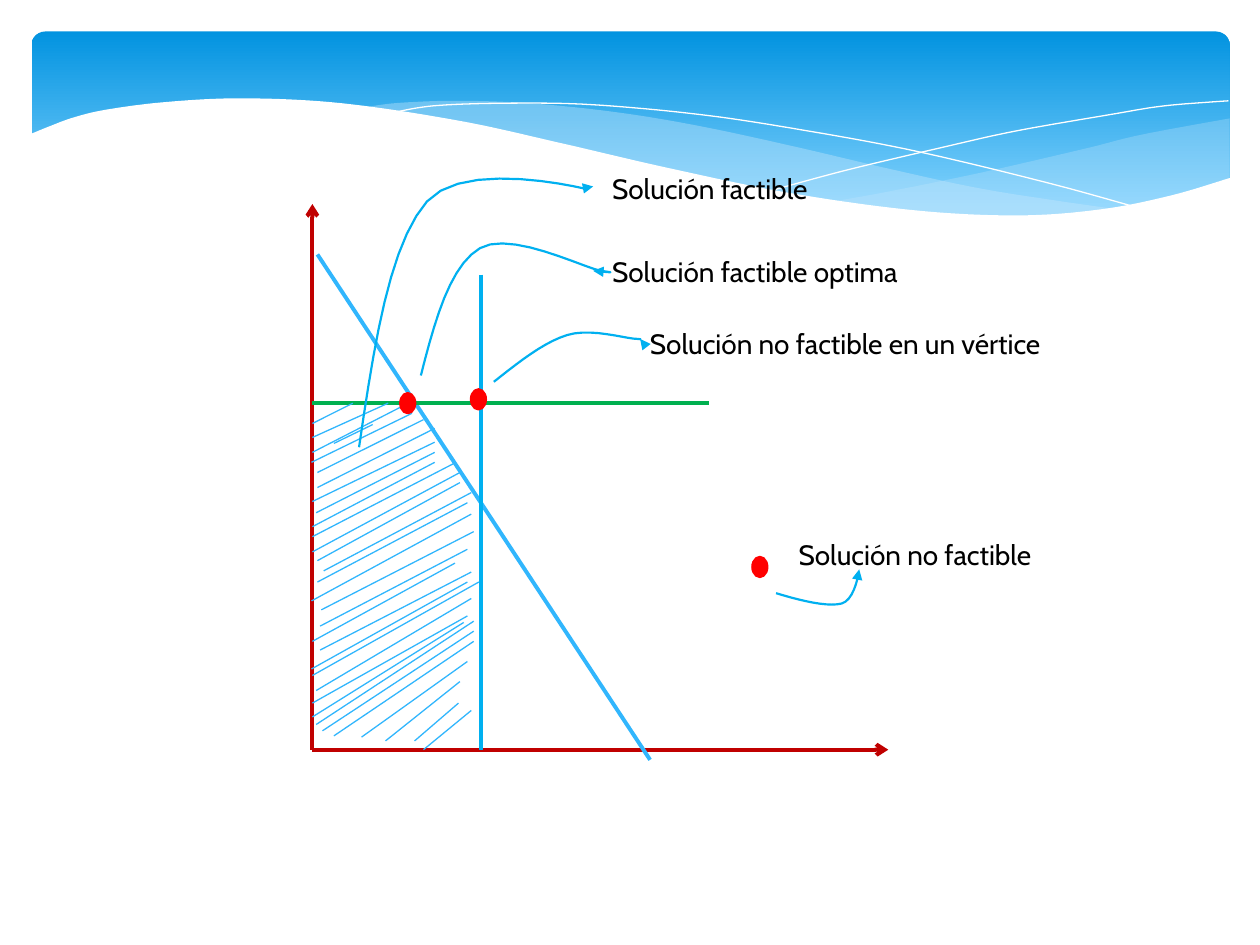
import pptx
import pptx.dml.color
import pptx.enum.shapes
import pptx.enum.text
import pptx.oxml
import pptx.oxml.ns
import pptx.util

Pt = pptx.util.Pt
RGBColor = pptx.dml.color.RGBColor
MSO_SHAPE = pptx.enum.shapes.MSO_SHAPE
qn = pptx.oxml.ns.qn

SKY_TOP = RGBColor(0x02, 0x93, 0xE0)
SKY_BOTTOM = RGBColor(0x83, 0xD3, 0xFE)
WAVE = RGBColor(0xC6, 0xE7, 0xFC)
WHITE = RGBColor(0xFF, 0xFF, 0xFF)
BLACK = RGBColor(0, 0, 0)
AXIS = RGBColor(0xC0, 0, 0)
HATCH = RGBColor(0x31, 0xB6, 0xFD)
BLUE = RGBColor(0, 0xB0, 0xF0)
GREEN = RGBColor(0, 0xB0, 0x50)
RED = RGBColor(0xFF, 0, 0)

FONT = "Cabin"
STEPS = 10
ORIGIN = (178.5, 428.4)

RIGHT_WAVE_TOP = [(702.7, 67.7), (652.3, 77), (620, 85), (561, 98.6), (508.3, 109.4), (476, 115.2)]
RIGHT_WAVE_BOTTOM = [(476, 115.2), (517.7, 120.2), (553.7, 123.1), (593.3, 123.8),
                     (627.8, 121.7), (663, 115.2), (702.7, 101.5)]
MIDDLE_WAVE_TOP = [(643, 120.2), (602.6, 114.5), (558, 107.3), (508.3, 96.5), (452.9, 83.5),
                   (399.6, 72), (352, 64.1), (302.4, 59), (260, 57.6), (225.4, 59), (206, 61.9)]
MIDDLE_WAVE_BOTTOM = [(206, 61.9), (246.2, 67.7), (290.9, 76.3), (323.3, 83.5), (381.6, 97.2),
                      (432.7, 108), (478.8, 115.9), (519.8, 121), (565.2, 123.8),
                      (603.4, 123.8), (643, 120.2)]
WHITE_CURVES = [
    [(222.5, 64.8), (247.7, 60.5), (288.7, 59), (337.7, 59.8), (400.3, 65.5),
     (457.9, 74.2), (523.4, 86.4), (598.3, 104.4), (653, 119.5)],
    [(441.4, 108.7), (483.8, 97.2), (538.6, 84.2), (580.3, 74.9),
     (634.3, 65.5), (665.3, 60.5), (702, 57.6)],
]
FRONT_WAVE = [(703.4, 101.5), (669.6, 111.6), (630, 119.5), (582.5, 123.1), (522.7, 120.2),
              (450.7, 110.2), (380.9, 95.8), (321.8, 82.1), (262.8, 69.1), (195.1, 59),
              (139, 56.2), (95, 58.3), (61.2, 62.6), (42.5, 67), (28.8, 72), (16.6, 77)]
FRONT_CORNERS = [(16.6, 161.3), (703.4, 161.3)]

# Each hatch stroke: left x, left y, right x, right y
HATCHES = [
    (178.5, 242, 201.6, 230.4), (178.5, 250, 221.8, 230.4), (178.5, 258.5, 233.3, 230.4),
    (178, 264.2, 235.4, 236.2), (181.4, 270, 242, 239.8), (181.4, 278.6, 248.4, 244.8),
    (178.5, 286.6, 248.4, 252.7), (180.7, 293, 248.4, 258.5), (178.5, 301, 248.4, 264.2),
    (178.5, 306.7, 260.6, 264.2), (178.5, 315.4, 262.8, 270), (181.4, 320.4, 262.8, 275.8),
    (185, 326.2, 269.3, 281.5), (181.4, 332.6, 267.1, 287.3), (178, 343.4, 269.3, 293.8),
    (183.6, 348.5, 270.7, 303.8), (182.9, 357.8, 267.1, 313.9), (178.5, 366.5, 260, 321.8),
    (182.9, 371.5, 269.3, 326.9), (178, 382.3, 267.1, 332.6), (178.5, 386, 273.6, 332.6),
    (180.7, 394.6, 269.3, 342), (178.5, 401.8, 267.1, 352), (178.5, 409.7, 265, 355.7),
    (180.7, 414, 270.7, 355), (184.3, 417.6, 270.7, 360.7), (190.8, 420.5, 270.7, 366.5),
    (206.6, 421.2, 267.1, 378), (220.3, 423.4, 262.8, 389.5), (236.9, 423.4, 262, 401.8),
    (242, 428.4, 269.3, 406), (190.8, 253.4, 213, 242.6),
]
LABELS = [
    ("Solución factible", 342.7, 94.3, 136),
    ("Solución factible optima", 342.7, 141.8, 191.5),
    ("Solución no factible en un vértice", 364.3, 182.9, 259),
    ("Solución no factible", 449.3, 303.8, 158.4),
]
DOTS = [(233, 230.4), (273.4, 228.2), (434.2, 324)]
# Start point, then three control points for each cubic segment
POINTERS = [
    [(205.2, 255.6), (213.8, 197.3), (222.5, 139.7), (244, 115.2),
     (265.7, 90.7), (334.8, 108), (334.8, 108), (334.8, 108), (339, 106.6), (339, 106.6)],
    [(240.5, 214.6), (248.4, 183.6), (257, 151.9), (274.3, 141.8),
     (291.6, 131.8), (332.6, 152.6), (343.4, 154.8), (354.2, 156.2), (347, 155.5), (339, 154.8)],
    [(282.2, 218.2), (295.9, 207.4), (310.3, 195.8), (324, 191.5),
     (337.7, 187.2), (357.8, 193.7), (364.3, 193.7), (371.5, 194.4), (368.6, 194.4), (365.8, 193.7)],
    [(443.5, 339), (457.9, 343.4), (473, 347), (481, 344.9),
     (488.9, 342.7), (491, 325.4), (491, 325.4)],
]


def bezier(controls):
    pts = [controls[0]]
    for i in range(0, len(controls) - 1, 3):
        segment = controls[i:i + 4]
        for step in range(1, STEPS + 1):
            t = step / STEPS
            weights = ((1 - t) ** 3, 3 * t * (1 - t) ** 2, 3 * t * t * (1 - t), t ** 3)
            pts.append(tuple(sum(w * c[axis] for w, c in zip(weights, segment)) for axis in (0, 1)))
    return pts


def smooth(knots):
    """Points of a curve that runs through every knot."""
    ends = [knots[0], *knots, knots[-1]]
    controls = [knots[0]]
    for a, b, c, d in zip(ends, ends[1:], ends[2:], ends[3:]):
        controls += [(b[0] + (c[0] - a[0]) / 6, b[1] + (c[1] - a[1]) / 6),
                     (c[0] - (d[0] - b[0]) / 6, c[1] - (d[1] - b[1]) / 6), c]
    return bezier(controls)


def set_line(s, color, width, arrow=None):
    s.line.color.rgb = color
    s.line.width = Pt(width)
    if arrow:
        ln = s.element.spPr.find(qn("a:ln"))
        ln.append(pptx.oxml.parse_xml(f'<a:tailEnd {pptx.oxml.ns.nsdecls("a")} type="{arrow}"/>'))


def add_path(slide, pts, close=False):
    emu = [(Pt(x), Pt(y)) for x, y in pts]
    builder = slide.shapes.build_freeform(*emu[0])
    builder.add_line_segments(emu[1:], close=close)
    s = builder.convert_to_shape()
    s.shadow.inherit = False
    return s


def add_area(slide, pts, color, opacity=100):
    s = add_path(slide, pts, close=True)
    s.fill.solid()
    s.fill.fore_color.rgb = color
    s.line.fill.background()
    if opacity < 100:
        clr = s.element.spPr.find(qn("a:solidFill")).find(qn("a:srgbClr"))
        clr.append(pptx.oxml.parse_xml(
            f'<a:alpha {pptx.oxml.ns.nsdecls("a")} val="{opacity * 1000}"/>'))


def add_curve(slide, pts, color, width, arrow=None):
    s = add_path(slide, pts)
    s.fill.background()
    set_line(s, color, width, arrow)


def add_segment(slide, start, end, color, width, arrow=None):
    s = slide.shapes.add_connector(pptx.enum.shapes.MSO_CONNECTOR.STRAIGHT,
                                   *(Pt(v) for v in (*start, *end)))
    set_line(s, color, width, arrow)
    s.element.spPr.append(pptx.oxml.parse_xml(f'<a:effectLst {pptx.oxml.ns.nsdecls("a")}/>'))


def add_dot(slide, x, y, width=8.6, height=11.5):
    s = slide.shapes.add_shape(MSO_SHAPE.OVAL, Pt(x - width / 2), Pt(y - height / 2),
                               Pt(width), Pt(height))
    s.shadow.inherit = False
    s.fill.solid()
    s.fill.fore_color.rgb = RED
    set_line(s, RED, 1.25)


def add_label(slide, text, left, top, width):
    tf = slide.shapes.add_textbox(Pt(left), Pt(top), Pt(width), Pt(26.6)).text_frame
    tf.word_wrap = False
    tf.auto_size = pptx.enum.text.MSO_AUTO_SIZE.SHAPE_TO_FIT_TEXT
    r = tf.paragraphs[0].add_run()
    r.text = text
    r.font.name = FONT
    r.font.size = Pt(16)
    r.font.color.rgb = BLACK


def add_banner(slide):
    s = slide.shapes.add_shape(MSO_SHAPE.ROUNDED_RECTANGLE, Pt(18), Pt(18), Pt(684.7), Pt(112.3))
    s.adjustments[0] = 0.07
    s.shadow.inherit = False
    s.line.fill.background()
    s.fill.gradient()
    s.fill.gradient_angle = 270
    for stop, color, position in zip(s.fill.gradient_stops, (SKY_TOP, SKY_BOTTOM), (0, 0.9)):
        stop.color.rgb = color
        stop.position = position
    add_area(slide, smooth(RIGHT_WAVE_TOP) + smooth(RIGHT_WAVE_BOTTOM), WAVE, 29)
    add_area(slide, smooth(MIDDLE_WAVE_TOP) + smooth(MIDDLE_WAVE_BOTTOM), WAVE, 40)
    for knots in WHITE_CURVES:
        add_curve(slide, smooth(knots), WHITE, 0)
    add_area(slide, smooth(FRONT_WAVE) + FRONT_CORNERS, WHITE)


def add_graph(slide):
    for tip in ((507.6, ORIGIN[1]), (ORIGIN[0], 116.6)):
        add_segment(slide, ORIGIN, tip, AXIS, 2.25, "arrow")
    add_segment(slide, (181.4, 145.4), (371.5, 434.2), HATCH, 2.25)
    add_segment(slide, (275, 157), (275, ORIGIN[1]), BLUE, 2.25)
    add_segment(slide, (ORIGIN[0], 230.4), (405.4, 230.4), GREEN, 2.25)
    for x1, y1, x2, y2 in HATCHES:
        add_segment(slide, (x1, y1), (x2, y2), HATCH, 0.75)


def main():
    prs = pptx.Presentation()
    prs.slide_width, prs.slide_height = Pt(720), Pt(540)
    slide = prs.slides.add_slide(prs.slide_layouts[6])
    add_banner(slide)
    add_graph(slide)
    for label in LABELS:
        add_label(slide, *label)
    for dot in DOTS:
        add_dot(slide, *dot)
    for controls in POINTERS:
        add_curve(slide, bezier(controls), BLUE, 1.25, "triangle")
    prs.save("out.pptx")


if __name__ == "__main__":
    main()
